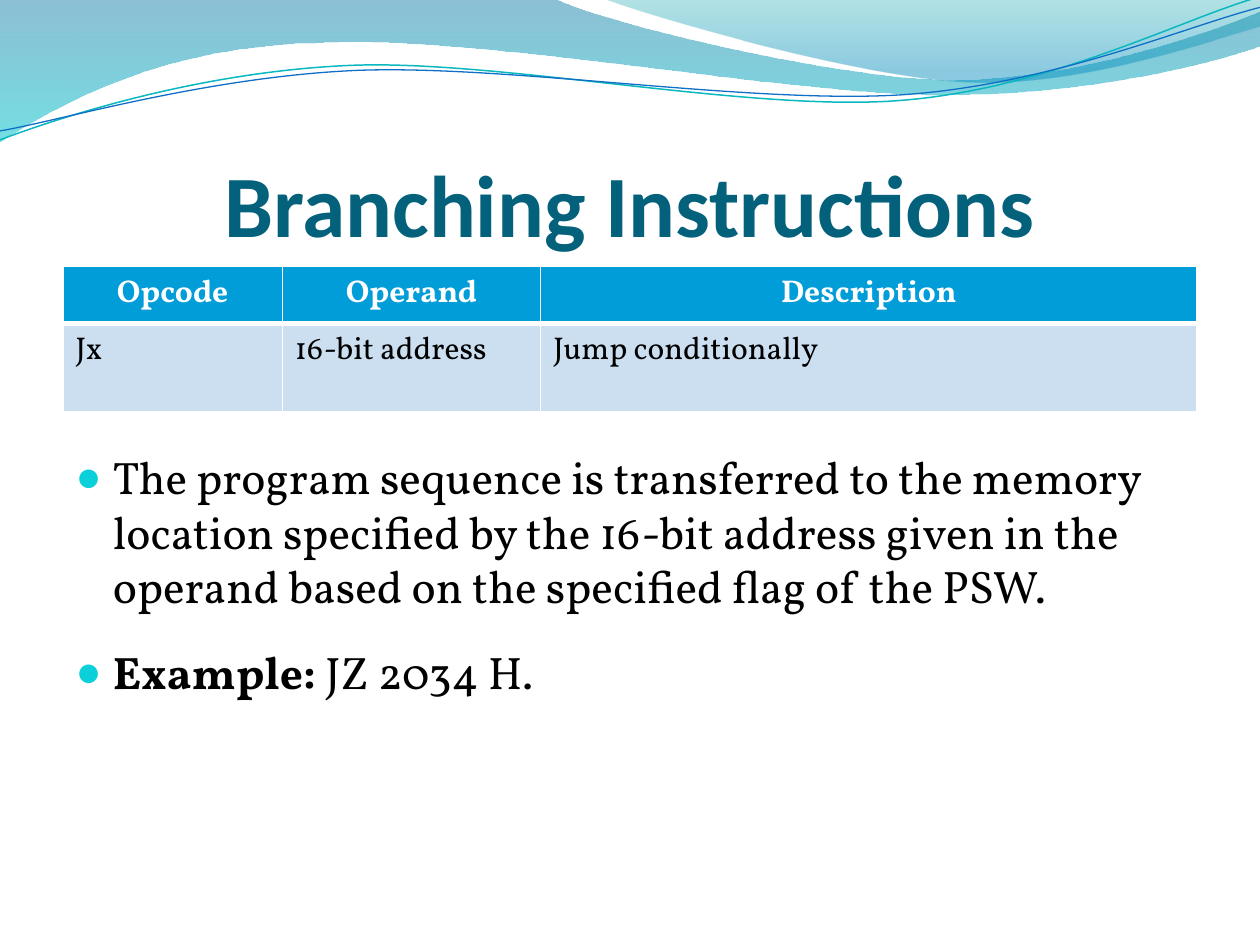
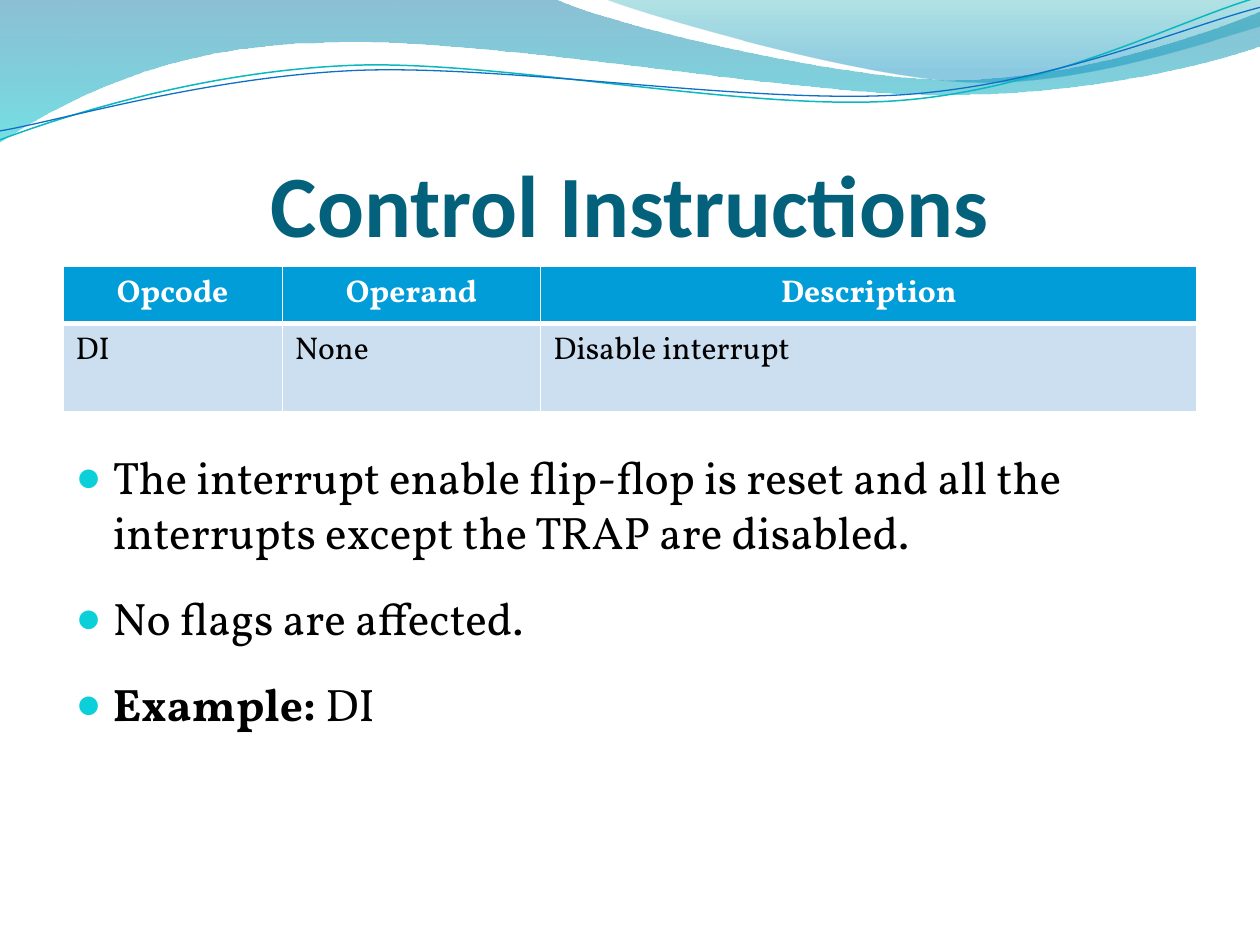
from dataclasses import dataclass

from lxml import etree
from pptx import Presentation, util as u
from pptx.dml.color import RGBColor
from pptx.enum import text
from pptx.oxml import ns

COLORS = {
    "title": "04617B", "text": "000000", "white": "FFFFFF", "bullet": "0BD0D9",
    "header": "009DD9", "row": "CCDFF1",
    "band_top": "0074A1", "band_bottom": "00C6CF",
    "crest_top": "00A1A9", "crest_bottom": "008BBF",
    "teal_line": "0AB8BF", "blue_line": "0F6FC6",
}
TITLE_FORMAT = {"name": "Calibri", "size": u.Pt(50), "bold": True}
LIST_FORMAT = {"name": "Vollkorn", "size": u.Pt(26)}
CELL_FORMAT = {"name": "Vollkorn", "size": u.Pt(18)}

LEFT, WIDTH = u.Cm(1.27), u.Cm(22.86)
COLUMN_WIDTHS = (u.Cm(4.42), u.Cm(5.21), u.Cm(13.23))
ROW_HEIGHTS = (u.Cm(1.15), u.Cm(1.78))
HEADINGS = ("Opcode", "Operand", "Description")
INDENT = u.Cm(0.75)

Point = tuple[float, float]


@dataclass(frozen=True)
class Stop:
    position: float
    color: str
    opacity: int


@dataclass(frozen=True)
class Wave:
    """Outline in cm: a segment of one point is a line, of three a Bezier curve."""
    start: Point
    segments: tuple[tuple[Point, ...], ...]
    stops: tuple[Stop, ...] = ()
    line_color: str = ""
    line_width: float = 0


@dataclass(frozen=True)
class Bullet:
    body: str
    lead: str = ""


@dataclass(frozen=True)
class InstructionSlide:
    title: str
    row: tuple[str, str, str]
    bullets: tuple[Bullet, ...]


WAVES = (
    Wave((0, -0.03), (
        ((11.18, -0.03),),
        ((12.09, 0.43), (16.87, 1.6), (19.25, 1.6)),
        ((21.67, 1.6), (24.33, 0.66), (25.4, 0.23)),
        ((25.43, 0.91),),
        ((24.97, 1.12), (22.1, 1.93), (18.95, 1.91)),
        ((15.8, 1.91), (9.7, 0.71), (6.53, 0.86)),
        ((3.28, 0.89), (1.17, 2.11), (-0.03, 2.87)),
    ), (Stop(0, "band_top", 45), Stop(1, "band_bottom", 55))),
    Wave((12.17, -0.03), (
        ((12.93, 0.28), (17.32, 1.57), (19.53, 1.65)),
        ((21.74, 1.75), (24.41, 0.81), (25.4, 0.53)),
        ((25.4, 0),),
    ), (Stop(0, "crest_top", 30), Stop(0.8, "crest_bottom", 45))),
    Wave((0, 2.82), (
        ((1.22, 2.36), (4.01, 1.45), (7.04, 1.32)),
        ((10.03, 1.19), (15.06, 2.26), (18.11, 2.03)),
        ((21.16, 1.8), (23.83, 0.38), (25.35, -0.05)),
    ), line_color="teal_line", line_width=0.85),
    Wave((0, 2.64), (
        ((1.19, 2.44), (4.17, 1.55), (7.19, 1.42)),
        ((10.24, 1.3), (15.16, 2.11), (18.21, 1.91)),
        ((21.23, 1.7), (23.9, 0.53), (25.4, 0.15)),
    ), line_color="blue_line", line_width=0.75),
)

SLIDES = (
    InstructionSlide(
        "Branching Instructions",
        ("Jx", "16-bit address", "Jump conditionally"),
        (Bullet("The program sequence is transferred to the memory location specified by "
                "the 16-bit address given in the operand based on the specified flag of the PSW."),
         Bullet(" JZ 2034 H.", lead="Example:"))),
    InstructionSlide(
        "Control Instructions",
        ("DI", "None", "Disable interrupt"),
        (Bullet("The interrupt enable flip-flop is reset and all the interrupts "
                "except the TRAP are disabled."),
         Bullet("No flags are affected."),
         Bullet(" DI", lead="Example:"))),
)


def rgb(name: str) -> RGBColor:
    return RGBColor.from_string(COLORS[name])


def apply(target, values: dict) -> None:
    for name, value in values.items():
        setattr(target, name, value)


def format_font(font, values: dict, color: str) -> None:
    apply(font, values)
    font.color.rgb = rgb(color)


def add_element(parent, tag: str, **attributes: str):
    return etree.SubElement(parent, ns.qn(tag), attributes)


# Waves shared by all slides
def bend_curves(shape, wave: Wave) -> None:
    """Merge the three lines of each curved segment into one Bezier curve."""
    lines = iter(list(shape.element.iter(ns.qn("a:lnTo"))))
    for segment in wave.segments:
        first, *others = [next(lines) for _ in segment]
        if others:
            first.tag = ns.qn("a:cubicBezTo")
            for line in others:
                first.append(line[0])
                line.getparent().remove(line)


def draw_wave(slide, wave: Wave):
    builder = slide.shapes.build_freeform(*map(u.Cm, wave.start))
    builder.add_line_segments([(u.Cm(x), u.Cm(y)) for segment in wave.segments
                               for x, y in segment], close=bool(wave.stops))
    shape = builder.convert_to_shape()
    bend_curves(shape, wave)
    shape.shadow.inherit = False
    if wave.stops:
        shape.line.fill.background()
        shape.fill.gradient()
        shape.fill.gradient_angle = 270
        for gradient_stop, stop in zip(shape.fill.gradient_stops, wave.stops):
            gradient_stop.position = stop.position
            gradient_stop.color.rgb = rgb(stop.color)
        for color, stop in zip(shape.element.iter(ns.qn("a:srgbClr")), wave.stops):
            add_element(color, "a:alpha", val=str(stop.opacity * 1000))
    else:
        shape.fill.background()
        shape.line.color.rgb = rgb(wave.line_color)
        shape.line.width = u.Pt(wave.line_width)
    return shape


def move_to_layout(waves: list, layout) -> None:
    for position, wave in enumerate(waves):
        wave.element.nvSpPr.cNvPr.set("id", str(101 + position))
        layout.shapes.element.insert(2 + position, wave.element)


# Title, table and list
def fill_title(shape, title: str) -> None:
    apply(shape, {"left": LEFT, "top": u.Cm(1.96), "width": WIDTH, "height": u.Cm(3.18)})
    frame = shape.text_frame
    frame.text = title
    apply(frame, {"margin_left": 0, "margin_top": u.Cm(0.13), "margin_right": 0,
                  "margin_bottom": 0, "word_wrap": True,
                  "auto_size": text.MSO_AUTO_SIZE.NONE,
                  "vertical_anchor": text.MSO_ANCHOR.BOTTOM})
    paragraph = frame.paragraphs[0]
    paragraph.alignment = text.PP_ALIGN.CENTER
    format_font(paragraph.runs[0].font, TITLE_FORMAT, "title")


def set_borders(cell, widths: dict[str, float]) -> None:
    properties = cell._tc.get_or_add_tcPr()
    for position, (side, width) in enumerate(widths.items()):
        line = etree.Element(ns.qn(f"a:ln{side}"), w=str(u.Pt(width)))
        fill = add_element(line, "a:solidFill")
        add_element(fill, "a:srgbClr", val=COLORS["white"])
        properties.insert(position, line)


def add_instruction_table(slide, row: tuple[str, ...]) -> None:
    table = slide.shapes.add_table(2, len(HEADINGS), LEFT, u.Cm(5.37),
                                   WIDTH, sum(ROW_HEIGHTS)).table
    for column, width in zip(table.columns, COLUMN_WIDTHS):
        column.width = width
    for index, values in enumerate((HEADINGS, row)):
        is_header = index == 0
        table.rows[index].height = ROW_HEIGHTS[index]
        for column_index, value in enumerate(values):
            cell = table.cell(index, column_index)
            cell.text = value
            cell.fill.solid()
            cell.fill.fore_color.rgb = rgb("header" if is_header else "row")
            set_borders(cell, {"L": 1, "R": 1, "T": 1 if is_header else 3,
                               "B": 3 if is_header else 1})
            paragraph = cell.text_frame.paragraphs[0]
            paragraph.alignment = text.PP_ALIGN.CENTER if is_header else text.PP_ALIGN.LEFT
            format_font(paragraph.runs[0].font, CELL_FORMAT | {"bold": is_header},
                        "white" if is_header else "text")


def fill_list(shape, bullets: tuple[Bullet, ...]) -> None:
    apply(shape, {"left": LEFT, "top": u.Cm(8.93), "width": WIDTH, "height": u.Cm(8.64)})
    frame = shape.text_frame
    apply(frame, {"word_wrap": True, "auto_size": text.MSO_AUTO_SIZE.NONE})
    for index, bullet in enumerate(bullets):
        paragraph = frame.add_paragraph() if index else frame.paragraphs[0]
        properties = paragraph._p.get_or_add_pPr()
        properties.set("marL", str(INDENT))
        properties.set("indent", str(-INDENT))
        add_element(add_element(properties, "a:buClr"), "a:srgbClr", val=COLORS["bullet"])
        add_element(properties, "a:buSzPct", val="95000")
        add_element(properties, "a:buChar", char="●")
        apply(paragraph, {"space_before": u.Pt(0), "space_after": u.Pt(18)})
        for words, bold in ((bullet.lead, True), (bullet.body, False)):
            if words:
                run = paragraph.add_run()
                run.text = words
                format_font(run.font, LIST_FORMAT | {"bold": bold}, "text")


def main() -> None:
    presentation = Presentation()
    apply(presentation, {"slide_width": u.Cm(25.4), "slide_height": u.Cm(19.05)})
    layout = presentation.slide_layouts[1]
    for index, content in enumerate(SLIDES):
        slide = presentation.slides.add_slide(layout)
        if index == 0:
            move_to_layout([draw_wave(slide, wave) for wave in WAVES], layout)
        fill_title(slide.shapes.title, content.title)
        add_instruction_table(slide, content.row)
        fill_list(slide.placeholders[1], content.bullets)
    presentation.save("out.pptx")


if __name__ == "__main__":
    main()
